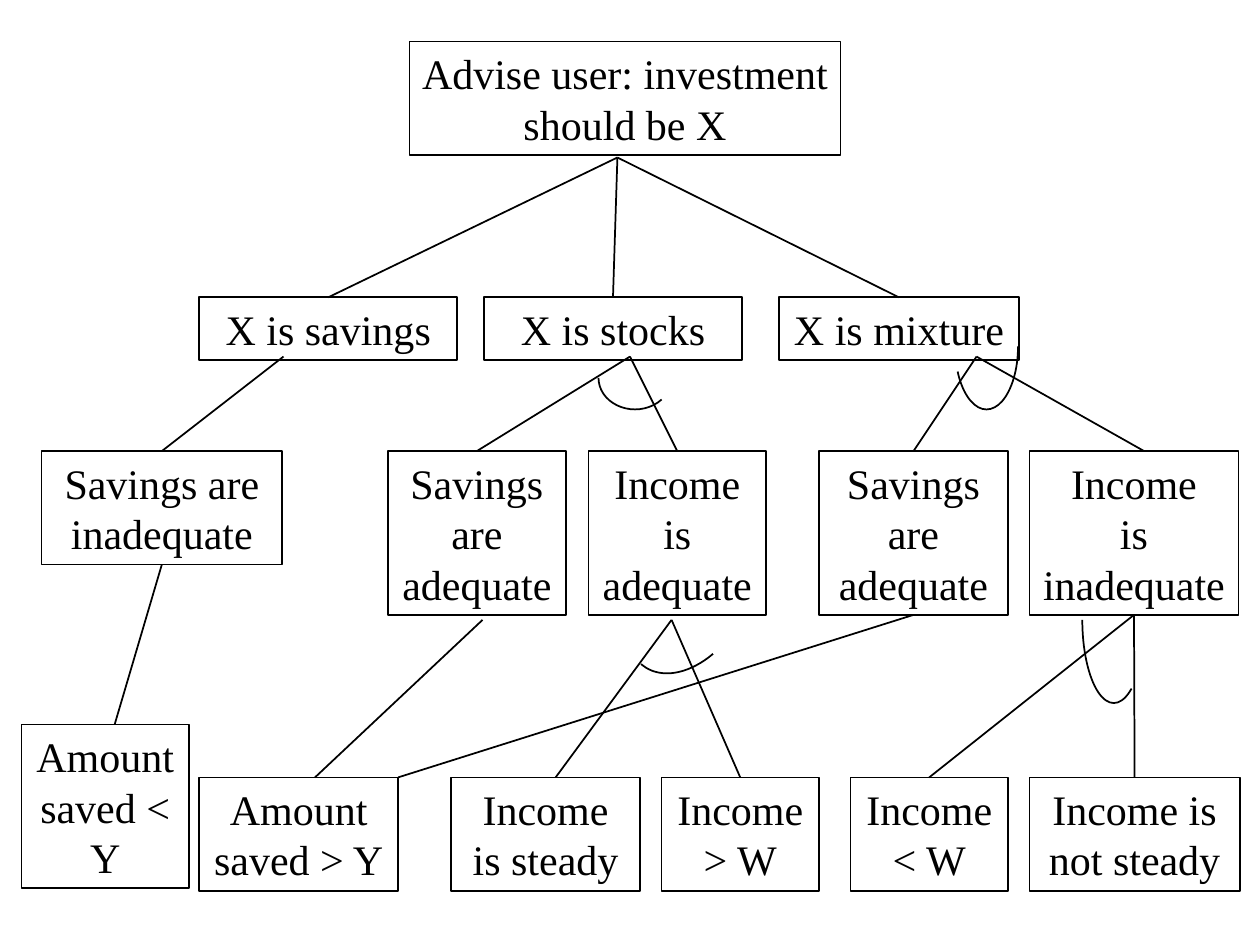
"""Build a decision tree slide for investment advice."""
import math

import pptx
import pptx.util
from lxml import etree
from pptx.dml.color import RGBColor
from pptx.enum.shapes import MSO_CONNECTOR, MSO_SHAPE
from pptx.enum.text import MSO_ANCHOR, PP_ALIGN
from pptx.oxml.ns import qn
from pptx.util import Inches

COLORS = {"background": "FFFFFF", "ink": "000000"}
FONT = "Times New Roman"
TOP, BOTTOM = 0, 2
JOIN_TOLERANCE = 0.05

ROWS = [
    (0.33, 0.9, [("advice", 3.25, 3.42, "Advise user: investment should be X")]),
    (2.36, 0.5, [
        ("savings", 1.58, 2.05, "X is savings"),
        ("stocks", 3.84, 2.05, "X is stocks"),
        ("mixture", 6.18, 1.91, "X is mixture"),
    ]),
    (3.58, 0.9, [("savings low", 0.33, 1.91, "Savings are inadequate")]),
    (3.58, 1.3, [
        ("stocks savings", 3.08, 1.41, "Savings are adequate"),
        ("stocks income", 4.67, 1.41, "Income is adequate"),
        ("mixture savings", 6.5, 1.5, "Savings are adequate"),
        ("mixture income", 8.17, 1.66, "Income\nis inadequate"),
    ]),
    (5.75, 1.3, [("saved below", 0.17, 1.33, "Amount saved < Y")]),
    (6.17, 0.9, [
        ("saved above", 1.58, 1.58, "Amount saved > Y"),
        ("income steady", 3.58, 1.5, "Income is steady"),
        ("income above", 5.25, 1.25, "Income > W"),
        ("income below", 6.75, 1.25, "Income < W"),
        ("income unsteady", 8.17, 1.67, "Income is not steady"),
    ]),
]

BRANCHES = [
    ("advice", (4.9, 1.25), [("savings", 2.64), ("stocks", 4.9), ("mixture", 7.16)]),
    ("savings", (2.25, 2.83), [("savings low", 1.33)]),
    ("stocks", (5, 2.83), [("stocks savings", 3.83), ("stocks income", 5.41)]),
    ("mixture", (7.75, 2.83), [("mixture savings", 7.25), ("mixture income", 9.08)]),
    ("savings low", (1.33, 4.5), [("saved below", 0.91)]),
    ("stocks savings", (3.83, 4.92), [("saved above", 2.5)]),
    ("mixture savings", (7.25, 4.92), [("saved above", 3.16)]),
    ("stocks income", (5.33, 4.92), [("income steady", 4.41), ("income above", 5.92)]),
    ("mixture income", (9, 4.92), [("income below", 7.41), ("income unsteady", 9)]),
]

AND_ARCS = [
    ((5.04, 3), (0.29, 0.25), (39, 180), 0),
    ((7.83, 2.75), (0.25, 0.5), (0, 139), 0),
    ((8.84, 4.92), (0.25, 0.66), (75.5, 180), 0),
    ((5.48, 4.73), (0.44, 0.67), (36.7, 94), 32),
]


def color(name):
    """Return a named colour."""
    return RGBColor.from_string(COLORS[name])


def style_line(line):
    """Give a line the slide's thin ink stroke."""
    line.color.rgb = color("ink")
    line.width = pptx.util.Pt(1)


def add_text(shape, text):
    """Write centred text, breaking lines at newlines."""
    frame = shape.text_frame
    frame.word_wrap = True
    frame.vertical_anchor = MSO_ANCHOR.TOP
    paragraph = frame.paragraphs[0]
    paragraph.alignment = PP_ALIGN.CENTER
    for index, words in enumerate(text.split("\n")):
        if index:
            paragraph.add_line_break()
        run = paragraph.add_run()
        run.text = words
        run.font.name = FONT
        run.font.size = pptx.util.Pt(24)
        run.font.color.rgb = color("ink")


def add_node(slide, left, top, width, height, text):
    """Add one outlined box of the tree."""
    shape = slide.shapes.add_shape(
        MSO_SHAPE.RECTANGLE, Inches(left), Inches(top), Inches(width), Inches(height))
    shape.shadow.inherit = False
    shape.fill.background()
    style_line(shape.line)
    add_text(shape, text)
    return shape


def meets_side(shape, point, side):
    """Tell whether a point lies at the middle of a box's top or bottom."""
    middle = shape.left + shape.width / 2
    edge = shape.top + (shape.height if side == BOTTOM else 0)
    gap = math.hypot(Inches(point[0]) - middle, Inches(point[1]) - edge)
    return gap <= Inches(JOIN_TOLERANCE)


def add_branch(slide, parent, start, child, end):
    """Draw a line from parent to child, joined where it meets a side's middle."""
    connector = slide.shapes.add_connector(
        MSO_CONNECTOR.STRAIGHT, *(Inches(value) for value in start + end))
    style_line(connector.line)
    properties = connector._element.find(qn("p:spPr"))
    etree.SubElement(properties, qn("a:effectLst"))
    if meets_side(parent, start, BOTTOM):
        connector.begin_connect(parent, BOTTOM)
    if meets_side(child, end, TOP):
        connector.end_connect(child, TOP)


def add_and_arc(slide, center, radii, angles, rotation):
    """Add the arc that marks branches needed together, angles in degrees."""
    (x, y), (across, down) = center, radii
    arc = slide.shapes.add_shape(
        MSO_SHAPE.ARC, Inches(x - across), Inches(y - down),
        Inches(2 * across), Inches(2 * down))
    for index, angle in enumerate(angles):
        arc.adjustments[index] = angle * 0.6
    arc.rotation = rotation
    arc.shadow.inherit = False
    arc.fill.background()
    style_line(arc.line)


def main():
    """Build and save the slide."""
    presentation = pptx.Presentation()
    presentation.slide_width = Inches(10)
    presentation.slide_height = Inches(7.5)
    slide = presentation.slides.add_slide(presentation.slide_layouts[6])
    slide.background.fill.solid()
    slide.background.fill.fore_color.rgb = color("background")

    nodes, tops = {}, {}
    for top, height, boxes in ROWS:
        for name, left, width, text in boxes:
            nodes[name] = add_node(slide, left, top, width, height, text)
            tops[name] = top
    for parent, start, children in BRANCHES:
        for child, x in children:
            add_branch(slide, nodes[parent], start, nodes[child], (x, tops[child]))
    for arc in AND_ARCS:
        add_and_arc(slide, *arc)

    presentation.save("out.pptx")


if __name__ == "__main__":
    main()
